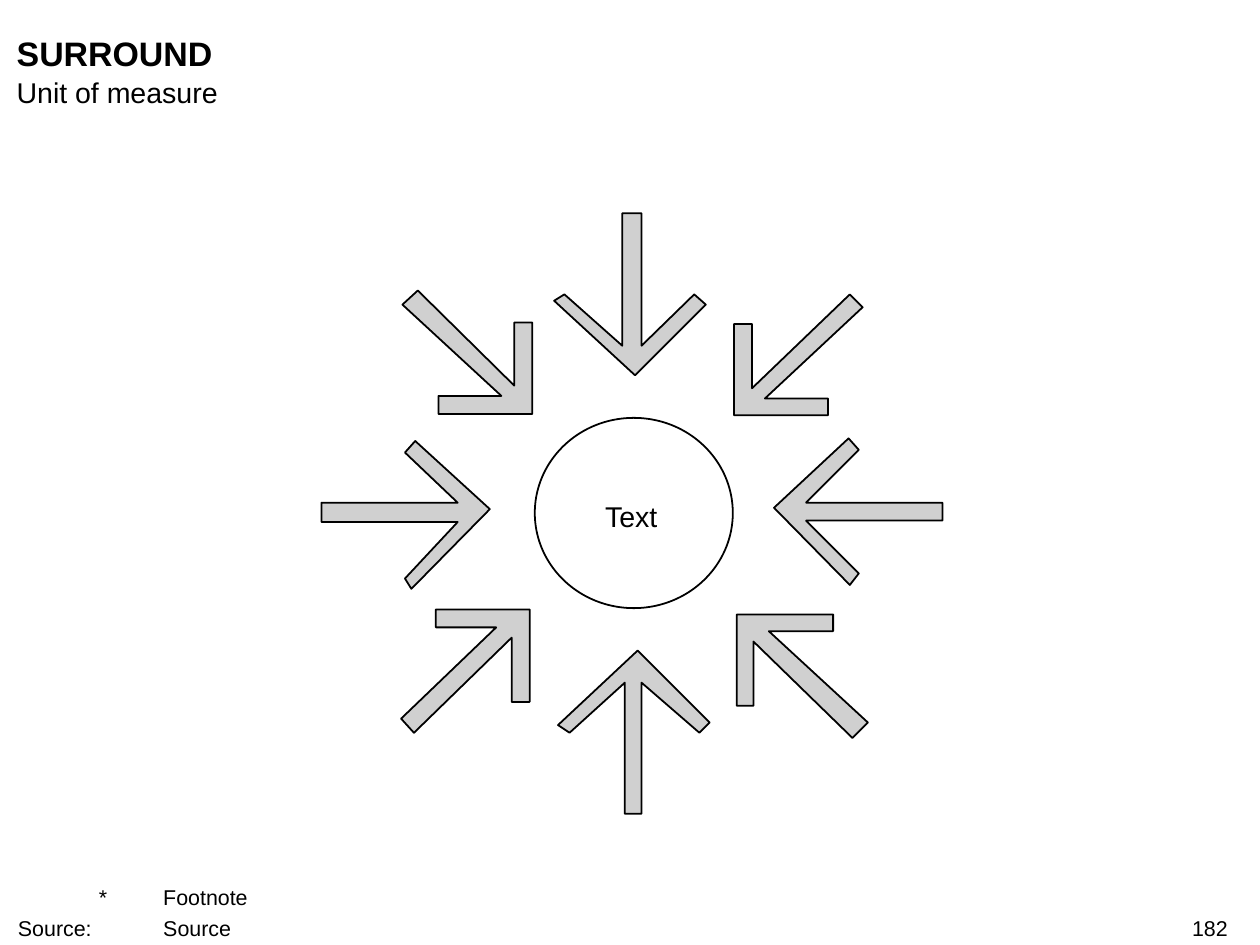
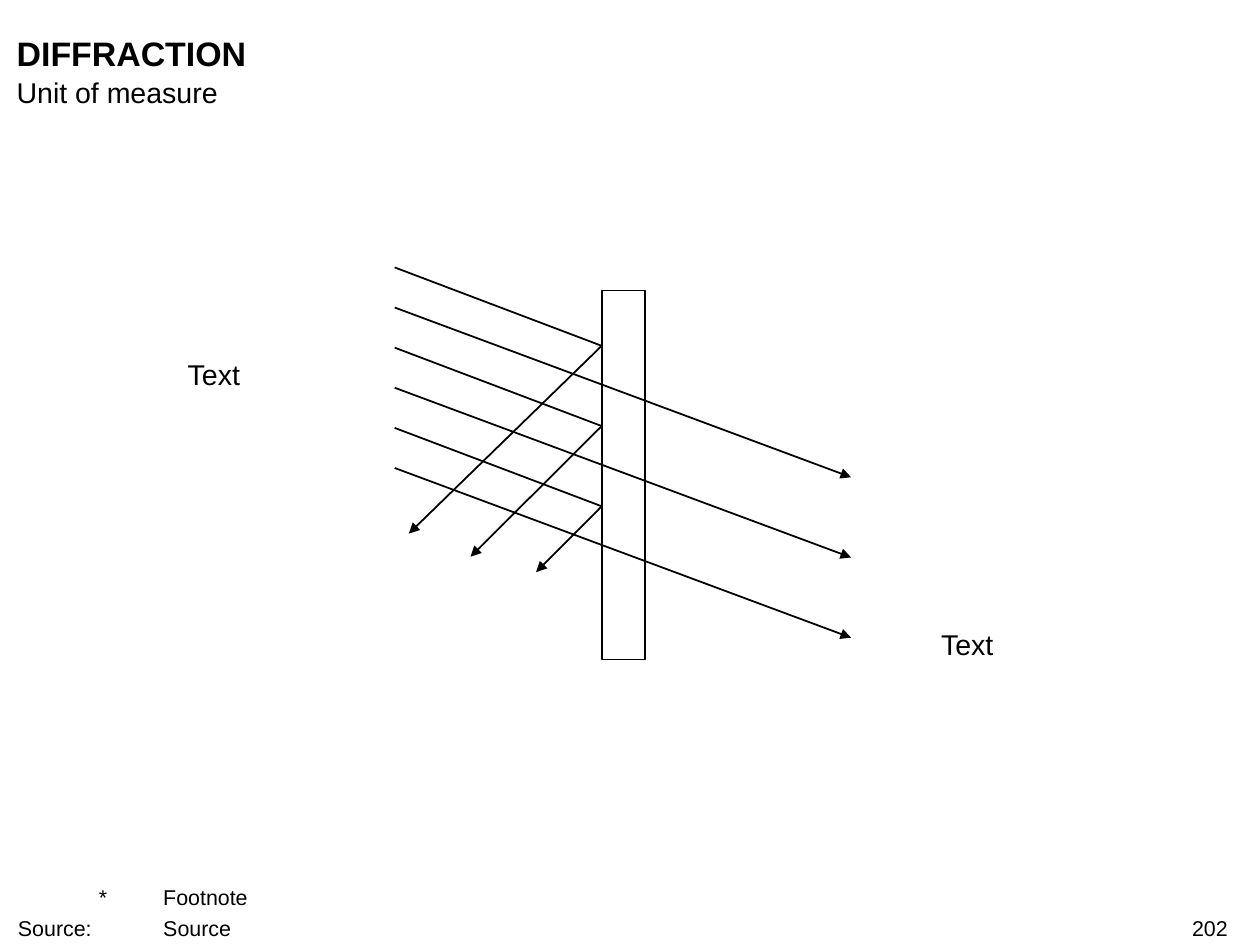
"""Builds two diagram slides: arrows surrounding a circle, and rays meeting a slab."""
from dataclasses import dataclass
from typing import NamedTuple

from lxml import etree
from pptx import Presentation
from pptx import util as u
from pptx.dml import color
from pptx.enum import shapes, text
from pptx.oxml import ns


@dataclass(frozen=True)
class Theme:
    font: str = "Arial"
    ink: color.RGBColor = color.RGBColor(0x00, 0x00, 0x00)
    paper: color.RGBColor = color.RGBColor(0xFF, 0xFF, 0xFF)
    arrow: color.RGBColor = color.RGBColor(0xD0, 0xD0, 0xD0)
    title_size: float = 19
    body_size: float = 16
    note_size: float = 12
    line_width: float = 1


class Point(NamedTuple):
    x: float
    y: float


class Box(NamedTuple):
    left: float
    top: float
    width: float
    height: float

    def inches(self) -> list:
        return [u.Inches(side) for side in self]


@dataclass(frozen=True)
class Label:
    words: str
    box: Box
    size: float
    bold: bool = False
    align: text.PP_ALIGN = text.PP_ALIGN.LEFT
    anchor: text.MSO_ANCHOR = text.MSO_ANCHOR.TOP


@dataclass(frozen=True)
class Ray:
    start: Point
    end: Point
    arrowhead: bool = True


THEME = Theme()
FOOTER_INDENT = 0.63
FOOTER_TABS = [(0, "l"), (0.58, "r")] + [(0.98 * n, "l") for n in range(1, 7)]

ARROWS = {
    "up": [(4.99, 6.33), (4.86, 6.33), (4.86, 5.31), (4.43, 5.7), (4.34, 5.64),
           (4.96, 5.06), (5.52, 5.62), (5.44, 5.7), (4.99, 5.31)],
    "up left": [(6.48, 4.78), (5.73, 4.78), (5.73, 5.49), (5.86, 5.49), (5.86, 4.99),
                (6.63, 5.74), (6.75, 5.62), (5.98, 4.91), (6.48, 4.91)],
    "down left": [(6.44, 3.23), (5.71, 3.23), (5.71, 2.52), (5.85, 2.52), (5.85, 3.02),
                  (6.61, 2.29), (6.71, 2.39), (5.95, 3.1), (6.44, 3.1)],
    "up right": [(3.39, 4.74), (4.12, 4.74), (4.12, 5.46), (3.98, 5.46), (3.98, 4.96),
                 (3.22, 5.7), (3.12, 5.59), (3.86, 4.88), (3.39, 4.88)],
    "down right": [(3.41, 3.22), (4.14, 3.22), (4.14, 2.51), (4, 2.51), (4, 3),
                   (3.25, 2.26), (3.13, 2.37), (3.9, 3.08), (3.41, 3.08)],
    "down": [(4.99, 1.66), (4.84, 1.66), (4.84, 2.69), (4.39, 2.29), (4.31, 2.34),
             (4.94, 2.92), (5.49, 2.37), (5.4, 2.29), (4.99, 2.69)],
    "right": [(2.5, 3.91), (2.5, 4.06), (3.56, 4.06), (3.15, 4.5), (3.2, 4.58),
              (3.81, 3.96), (3.23, 3.43), (3.15, 3.52), (3.56, 3.91)],
    "left": [(7.33, 3.91), (7.33, 4.05), (6.27, 4.05), (6.68, 4.46), (6.61, 4.55),
             (6.02, 3.95), (6.6, 3.41), (6.68, 3.5), (6.27, 3.91)],
}


def write(holder, label: Label) -> None:
    frame = holder.text_frame
    frame.margin_left = frame.margin_right = frame.margin_top = frame.margin_bottom = 0
    frame.word_wrap = True
    frame.auto_size = text.MSO_AUTO_SIZE.NONE
    frame.vertical_anchor = label.anchor
    frame.text = label.words
    for paragraph in frame.paragraphs:
        paragraph.alignment = label.align
        for run in paragraph.runs:
            run.font.name = THEME.font
            run.font.size = u.Pt(label.size)
            run.font.bold = label.bold
            run.font.color.rgb = THEME.ink


def add_label(slide, label: Label):
    holder = slide.shapes.add_textbox(*label.box.inches())
    write(holder, label)
    return holder


def paint(shape, fill: color.RGBColor) -> None:
    shape.shadow.inherit = False
    shape.fill.solid()
    shape.fill.fore_color.rgb = fill
    shape.line.color.rgb = THEME.ink
    shape.line.width = u.Pt(THEME.line_width)


def add_preset(slide, preset: shapes.MSO_SHAPE, box: Box) -> None:
    paint(slide.shapes.add_shape(preset, *box.inches()), THEME.paper)


def add_arrow(slide, outline: list) -> None:
    corners = [(u.Inches(x), u.Inches(y)) for x, y in outline]
    builder = slide.shapes.build_freeform(*corners[0])
    builder.add_line_segments(corners[1:], close=True)
    paint(builder.convert_to_shape(), THEME.arrow)


def add_ray(slide, ray: Ray) -> None:
    ends = [u.Inches(length) for length in (*ray.start, *ray.end)]
    connector = slide.shapes.add_connector(shapes.MSO_CONNECTOR.STRAIGHT, *ends)
    connector.line.color.rgb = THEME.ink
    connector.line.width = u.Pt(THEME.line_width)
    properties = connector.element.spPr
    if ray.arrowhead:
        etree.SubElement(properties.find(ns.qn("a:ln")), ns.qn("a:tailEnd"), type="triangle")
    etree.SubElement(properties, ns.qn("a:effectLst"))


def add_footer(slide) -> None:
    footer = add_label(slide, Label("\t*\tFootnote\nSource:\t\tSource", Box(0.14, 6.88, 8.93, 0.44),
                                    THEME.note_size, anchor=text.MSO_ANCHOR.BOTTOM))
    for paragraph in footer.text_frame.paragraphs:
        properties = paragraph._p.get_or_add_pPr()
        properties.set("marL", str(u.Inches(FOOTER_INDENT)))
        properties.set("indent", str(-u.Inches(FOOTER_INDENT)))
        tabs = etree.SubElement(properties, ns.qn("a:tabLst"))
        for position, side in FOOTER_TABS:
            etree.SubElement(tabs, ns.qn("a:tab"), pos=str(u.Inches(position)), algn=side)
    footer.text_frame.paragraphs[1].space_before = u.Pt(3)


def add_page(deck, heading: str, number: str):
    slide = deck.slides.add_slide(deck.slide_layouts.get_by_name("Title Only"))
    title = slide.shapes.title
    title_box = Box(0.13, 0.25, 9.43, 0.32)
    title.left, title.top, title.width, title.height = title_box.inches()
    write(title, Label(heading, title_box, THEME.title_size, bold=True))
    add_label(slide, Label("Unit of measure", Box(0.13, 0.58, 9.43, 0.27), THEME.body_size))
    add_label(slide, Label(number, Box(7.51, 7.12, 2.04, 0.2), THEME.note_size,
                           align=text.PP_ALIGN.RIGHT))
    add_footer(slide)
    return slide


def build_surround(deck) -> None:
    slide = add_page(deck, "SURROUND", "182")
    for outline in ARROWS.values():
        add_arrow(slide, outline)
    add_preset(slide, shapes.MSO_SHAPE.OVAL, Box(4.16, 3.25, 1.54, 1.48))
    add_label(slide, Label("Text", Box(4.28, 3.88, 1.26, 0.27), THEME.body_size,
                           align=text.PP_ALIGN.CENTER, anchor=text.MSO_ANCHOR.MIDDLE))


def build_diffraction(deck) -> None:
    slide = add_page(deck, "DIFFRACTION", "202")
    slab = Box(4.68, 2.26, 0.34, 2.87)
    source_x, first_y, last_y, ray_count = 3.07, 2.08, 3.64, 6
    gap = (last_y - first_y) / (ray_count - 1)
    starts = [Point(source_x, first_y + gap * n) for n in range(ray_count)]
    blocked = [Ray(start, Point(slab.left, start.y + 0.61), False) for start in starts[::2]]
    passing = [Ray(start, Point(6.62, start.y + 1.32)) for start in starts[1::2]]
    reflected_ends = [Point(3.18, 4.15), Point(3.66, 4.33), Point(4.17, 4.45)]

    for ray, end in zip(blocked, reflected_ends):
        add_ray(slide, Ray(ray.end, end))
    add_preset(slide, shapes.MSO_SHAPE.RECTANGLE, slab)
    for ray in blocked + passing:
        add_ray(slide, ray)
    for left, top in [(1.46, 2.78), (7.32, 4.88)]:
        add_label(slide, Label("Text", Box(left, top, 1.49, 0.27), THEME.body_size))


def main() -> None:
    deck = Presentation()
    deck.slide_width, deck.slide_height = u.Inches(9.8), u.Inches(7.35)
    build_surround(deck)
    build_diffraction(deck)
    deck.save("out.pptx")


if __name__ == "__main__":
    main()
